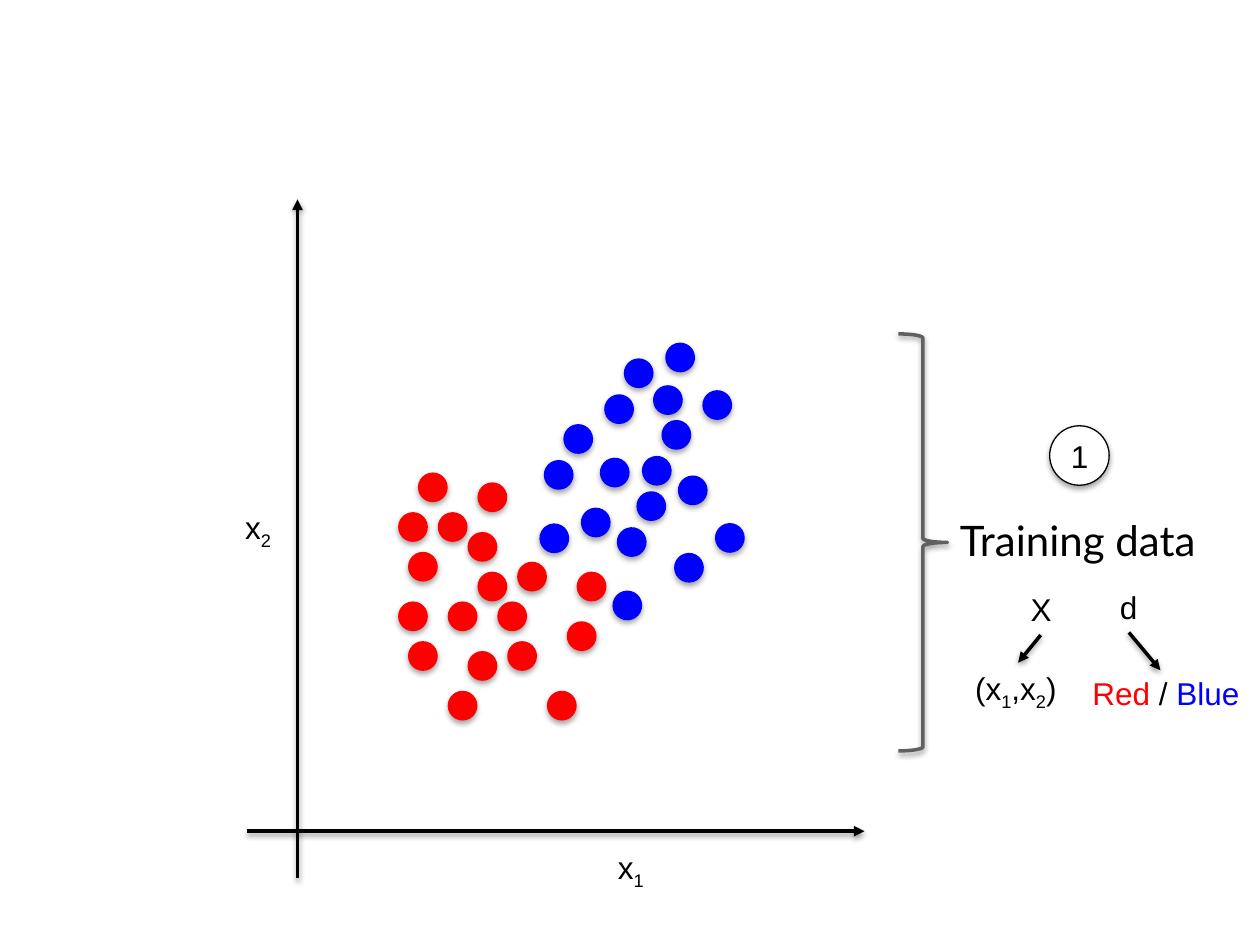
from dataclasses import dataclass
from math import cos, radians, sin

from lxml.etree import SubElement
from pptx import Presentation
from pptx.dml.color import RGBColor
from pptx.enum.shapes import MSO_CONNECTOR, MSO_SHAPE
from pptx.enum.text import MSO_ANCHOR, MSO_AUTO_SIZE, PP_ALIGN
from pptx.oxml.ns import qn
from pptx.util import Pt


@dataclass(frozen=True)
class Theme:
    """Colours, fonts and sizes of the slide."""
    black: RGBColor = RGBColor(0, 0, 0)
    white: RGBColor = RGBColor(255, 255, 255)
    red: RGBColor = RGBColor(255, 0, 0)
    blue: RGBColor = RGBColor(0, 0, 255)
    grey: RGBColor = RGBColor(0x60, 0x60, 0x60)
    heading_font: str = "Lato"
    label_font: str = "Arial"
    heading_size: float = 24
    label_size: float = 18
    stroke: float = 2
    thin_stroke: float = 0.75


@dataclass(frozen=True)
class Box:
    """Region of the slide, in points."""
    left: float
    top: float
    width: float
    height: float

    def at(self, x, y):
        """Return the slide position of a point in the region."""
        return Pt(self.left + x), Pt(self.top + y)


THEME = Theme()
STEP = 5.67
DOT = 17
CLUSTER = [
    (2, 0), (1, 8), (0, 4), (8, 1), (5, 13), (7, 6),
    (12, 9), (11, 17), (10, 13), (18, 10), (15, 22), (17, 15),
    (4, 4), (1, 17), (0, 13), (8, 10), (5, 22), (7, 18),
]


def cast_shadow(shape, opacity=35, distance=1.8):
    """Give a finished shape or connector a soft shadow below it."""
    effects = SubElement(shape._element.spPr, qn("a:effectLst"))
    outer = SubElement(effects, qn("a:outerShdw"), blurRad=str(Pt(3.15)),
                       dist=str(Pt(distance)), dir="5400000", rotWithShape="0")
    tint = SubElement(outer, qn("a:srgbClr"), val=str(THEME.black))
    SubElement(tint, qn("a:alpha"), val=str(opacity * 1000))


def add_run(paragraph, words, color=THEME.black, font=THEME.label_font,
            size=THEME.label_size, subscript=False):
    """Append one formatted run to a paragraph."""
    run = paragraph.add_run()
    run.text = words
    run.font.name = font
    run.font.size = Pt(size)
    run.font.color.rgb = color
    if subscript:
        run._r.get_or_add_rPr().set("baseline", "-25000")


def add_label(slide, box, x, y, width, height=29):
    """Place an unwrapped text box and return its paragraph."""
    label = slide.shapes.add_textbox(*box.at(x, y), Pt(width), Pt(height))
    label.text_frame.word_wrap = False
    label.text_frame.auto_size = MSO_AUTO_SIZE.SHAPE_TO_FIT_TEXT
    return label.text_frame.paragraphs[0]


def add_arrow(slide, box, start, end):
    """Draw a shadowed arrow between two points of the region."""
    arrow = slide.shapes.add_connector(MSO_CONNECTOR.STRAIGHT,
                                       *box.at(*start), *box.at(*end))
    arrow.line.color.rgb = THEME.black
    arrow.line.width = Pt(THEME.stroke)
    SubElement(arrow._element.spPr.get_or_add_ln(), qn("a:tailEnd"),
               type="triangle")
    cast_shadow(arrow, 38, 1.6)


def add_cluster(slide, box, origin, color, angle=0):
    """Scatter the grouped dots from an origin, turned by an angle."""
    group = slide.shapes.add_group_shape()
    turn_x, turn_y = cos(radians(angle)), sin(radians(angle))
    for column, row in CLUSTER:
        x = origin[0] + STEP * (column * turn_x - row * turn_y)
        y = origin[1] + STEP * (column * turn_y + row * turn_x)
        dot = group.shapes.add_shape(MSO_SHAPE.OVAL, *box.at(x, y),
                                     Pt(DOT), Pt(DOT))
        dot.rotation = angle
        dot.fill.solid()
        dot.fill.fore_color.rgb = color
        dot.line.fill.background()
        cast_shadow(dot)


def build_scatter(slide, box):
    """Draw both classes of points with their axes."""
    add_cluster(slide, box, (94.5, 156), THEME.red)
    add_cluster(slide, box, (238.8, 74.1), THEME.blue, 42.6)
    add_arrow(slide, box, (8, 361), (box.width, 361))
    add_arrow(slide, box, (37, box.height), (37, 0))
    for index, x, y in (("1", 213, 367), ("2", 0, 172.6)):
        axis_name = add_label(slide, box, x, y, 30)
        add_run(axis_name, "x")
        add_run(axis_name, index, subscript=True)


def build_training_panel(slide, box):
    """Draw the brace and explain the training data beside it."""
    brace = slide.shapes.add_shape(MSO_SHAPE.RIGHT_BRACE, *box.at(0, 0),
                                   Pt(28), Pt(box.height))
    brace.fill.background()
    brace.line.color.rgb = THEME.grey
    brace.line.width = Pt(THEME.stroke)
    cast_shadow(brace, 38, 1.6)

    heading = add_label(slide, box, 28, 99.4, 156.2, 36)
    add_run(heading, "Training data", font=THEME.heading_font,
            size=THEME.heading_size)

    step = slide.shapes.add_shape(MSO_SHAPE.OVAL, *box.at(86.4, 52.5),
                                  Pt(34), Pt(34))
    step.fill.solid()
    step.fill.fore_color.rgb = THEME.white
    step.line.color.rgb = THEME.black
    step.line.width = Pt(THEME.thin_stroke)
    cast_shadow(step)
    step.text_frame.vertical_anchor = MSO_ANCHOR.MIDDLE
    step_number = step.text_frame.paragraphs[0]
    step_number.alignment = PP_ALIGN.CENTER
    add_run(step_number, "1")

    add_run(add_label(slide, box, 119.5, 141.9, 24.5), "d")
    add_run(add_label(slide, box, 68.4, 142.6, 26.6), "X")
    features = add_label(slide, box, 36.7, 187.9, 63.4)
    for words, subscript in (("(x", False), ("1", True), (",x", False),
                             ("2", True), (")", False)):
        add_run(features, words, subscript=subscript)
    add_arrow(slide, box, (81.3, 172.1), (68.4, 187.9))
    add_arrow(slide, box, (131.7, 170.6), (149.7, 192.2))
    classes = add_label(slide, box, 103.7, 190.8, 99.4)
    for words, color in (("Red", THEME.red), (" / ", THEME.black),
                         ("Blue", THEME.blue)):
        add_run(classes, words, color)


def main():
    """Build and save the slide."""
    deck = Presentation()
    deck.slide_width, deck.slide_height = Pt(720), Pt(540)
    slide = deck.slides.add_slide(deck.slide_layouts[6])
    build_scatter(slide, Box(133, 114, 361, 388))
    build_training_panel(slide, Box(513.4, 190.8, 203, 238.3))
    deck.save("out.pptx")


if __name__ == "__main__":
    main()
